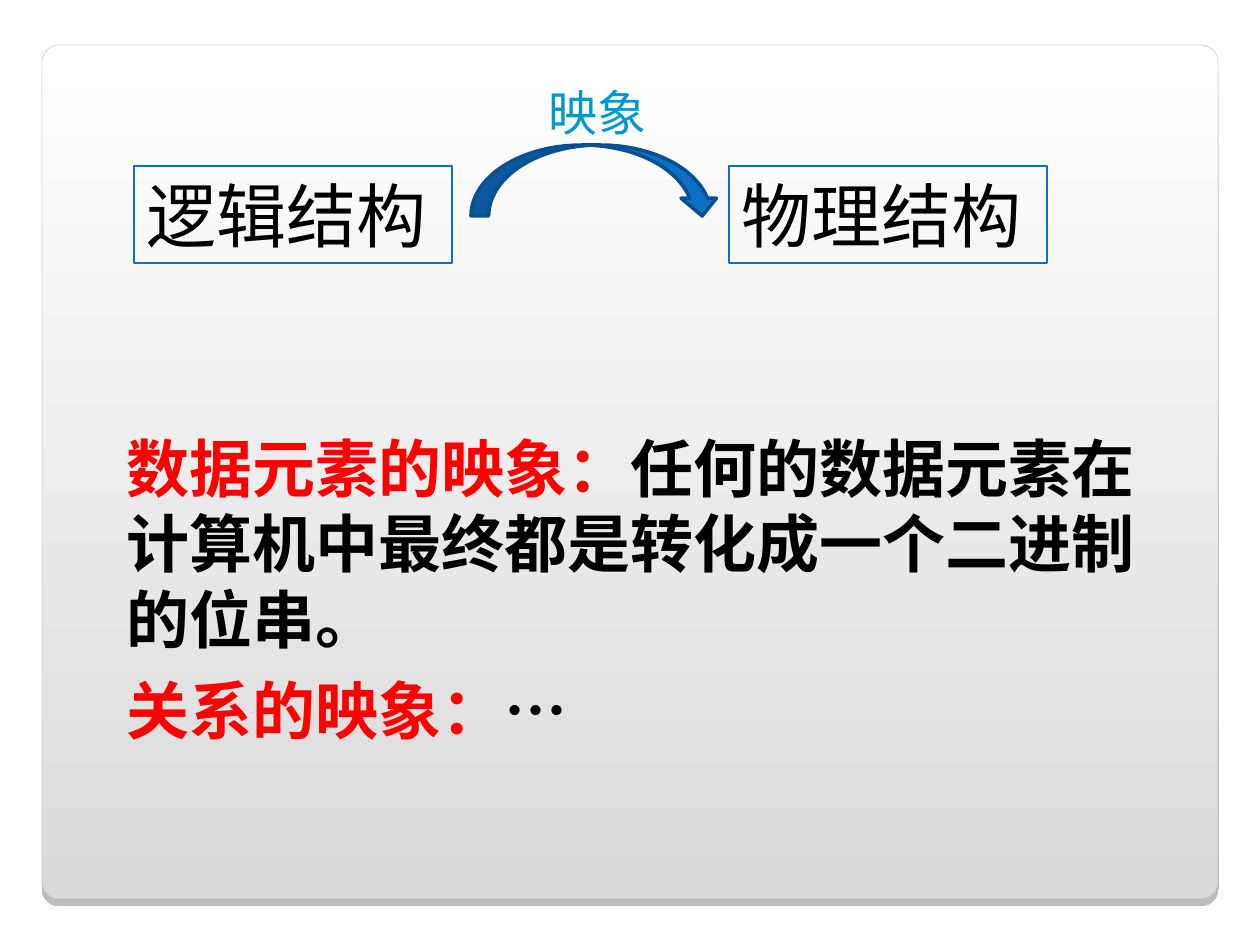
import pptx
import pptx.util
import pptx.dml.color
import pptx.enum.shapes
import pptx.enum.text
import pptx.oxml
import pptx.oxml.ns

PX = 914400 / 126
HUES = {
    "white": "FFFFFF", "gray": "DADADA", "edge": "A4A3A3", "shade": "000000",
    "red": "FF0000", "black": "000000", "blue": "0F6FC6", "navy": "085091",
    "sky": "0099CC",
}
KIND = pptx.enum.shapes.MSO_SHAPE
CJK = "Noto Sans CJK SC"

deck = pptx.Presentation()
deck.slide_width = pptx.util.Inches(10)
deck.slide_height = pptx.util.Inches(7.5)
slide = deck.slides.add_slide(deck.slide_layouts[6])


def hue(name):
    return pptx.dml.color.RGBColor.from_string(HUES[name])


def put(kind, area, size=0, lines=(), edge=None, width=0.75):
    """Add a shape; lines holds paragraphs of (text, font, colour, bold) runs."""
    left, top, wide, high = [pptx.util.Emu(round(n * PX)) for n in area]
    shape = slide.shapes.add_shape(kind, left, top, wide, high)
    shape.shadow.inherit = False
    shape.fill.background()
    if edge:
        shape.line.color.rgb = hue(edge)
        shape.line.width = pptx.util.Pt(width)
    else:
        shape.line.fill.background()
    frame = shape.text_frame
    frame.word_wrap = True
    frame.vertical_anchor = pptx.enum.text.MSO_ANCHOR.TOP
    for i, runs in enumerate(lines):
        para = frame.add_paragraph() if i else frame.paragraphs[0]
        para.alignment = pptx.enum.text.PP_ALIGN.LEFT
        para.line_spacing = pptx.util.Pt(round(size * 1.2, 1))
        if i:
            para.space_before = pptx.util.Pt(9)
        for text, face, tint, bold in runs:
            run = para.add_run()
            run.text = text
            run.font.size = pptx.util.Pt(size)
            run.font.name = face
            run.font.bold = bold
            run.font.color.rgb = hue(tint)
            east = pptx.oxml.parse_xml(
                f'<a:ea {pptx.oxml.ns.nsdecls("a")} typeface="{CJK}"/>')
            run.font._element.find(pptx.oxml.ns.qn("a:latin")).addnext(east)
    return shape


# Panel with gradient and hard shadow
panel = put(KIND.ROUNDED_RECTANGLE, (42, 45, 1176, 854), edge="edge", width=0.17)
panel.adjustments[0] = 0.02
panel.fill.gradient()
panel.fill.gradient_angle = 270
for stop, name, spot in zip(panel.fill.gradient_stops, ("white", "gray"), (0, 1)):
    stop.color.rgb = hue(name)
    stop.position = spot
glow = panel._element.spPr.find(pptx.oxml.ns.qn("a:effectLst"))
glow.append(pptx.oxml.parse_xml(
    f'<a:outerShdw {pptx.oxml.ns.nsdecls("a")} blurRad="0" dist="50800" '
    f'dir="5400000" algn="t" rotWithShape="0"><a:srgbClr val="{HUES["shade"]}">'
    '<a:alpha val="25000"/></a:srgbClr></a:outerShdw>'))

# Body text
put(KIND.RECTANGLE, (114, 423, 1042, 330), 36, [
    [("数据元素的映象：", CJK, "red", True),
     ("任何的数据元素在计算机中最终都是转化成一个二进制的位串。", CJK, "black", True)],
    [("关系的映象：", CJK, "red", True),
     ("…", "Times New Roman", "black", True)],
])

# The two structures
for left, text in ((134, "逻辑结构"), (729, "物理结构")):
    put(KIND.RECTANGLE, (left, 166, 318, 97), 40,
        [[(text, "Arial", "black", False)]], edge="blue")

# Mapping arrow and its label
arrow = put(KIND.CURVED_DOWN_ARROW, (471, 145, 249, 71), edge="navy", width=2)
arrow.fill.solid()
arrow.fill.fore_color.rgb = hue("blue")
put(KIND.RECTANGLE, (536, 76, 198, 72), 28, [[("映象", "Arial", "sky", False)]])

deck.save("out.pptx")
